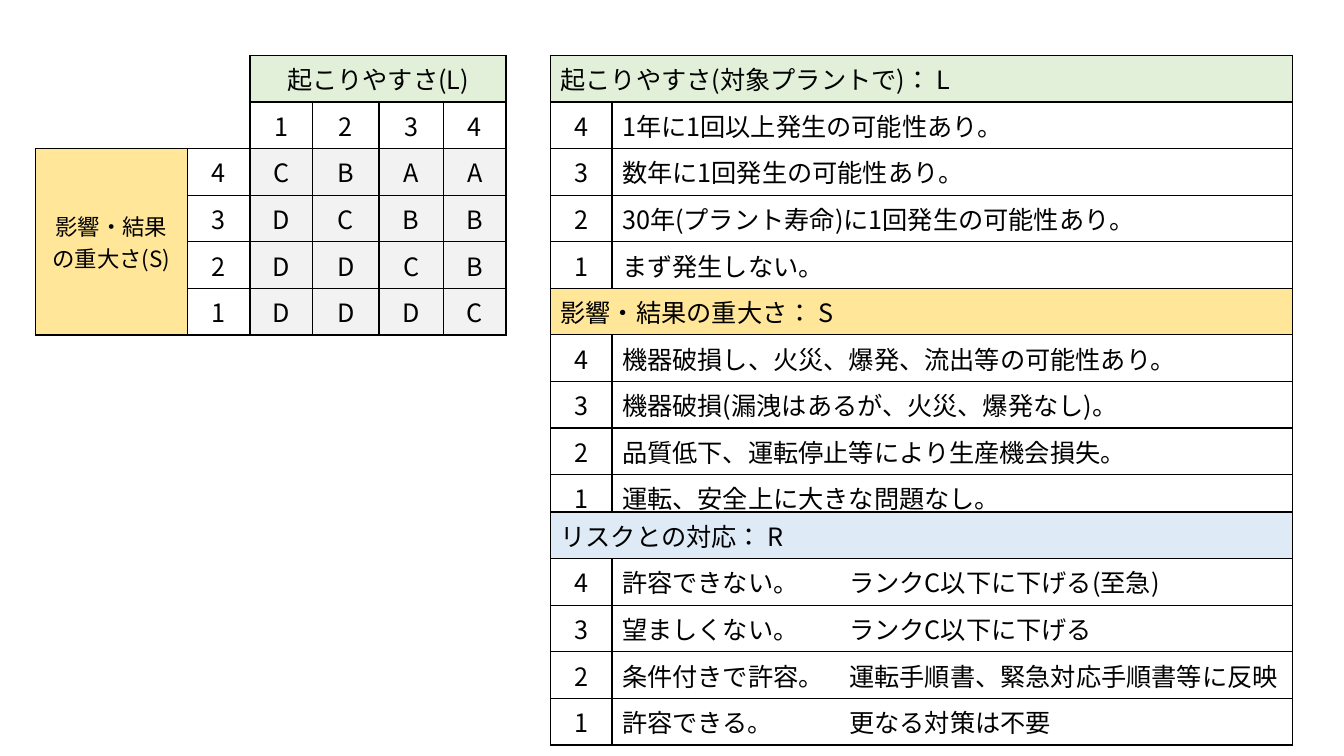
from itertools import product
from lxml.etree import SubElement
from pptx import Presentation
from pptx.dml.color import RGBColor
from pptx.enum.lang import MSO_LANGUAGE_ID
from pptx.enum.text import MSO_ANCHOR, PP_ALIGN
from pptx.oxml.ns import qn
from pptx.util import Inches, Pt

FACE = "Noto Sans CJK JP"
INK, GREEN, GOLD, BLUE, GREY = "000000", "E2F0D9", "FFE699", "DEEBF7", "F2F2F2"
PLAIN = "{2D5ABB26-0587-4C30-8999-92F81FD0307C}"
WIDE, HIGH = Inches(13.33), Inches(7.5)
ROW = 4.93

GRADES = [("4", "CBAA"), ("3", "DCBB"), ("2", "DDCB"), ("1", "DDDC")]
LISTS = [
    (7.33, GREEN, "起こりやすさ(対象プラントで)： L", [
        "1年に1回以上発生の可能性あり。",
        "数年に1回発生の可能性あり。",
        "30年(プラント寿命)に1回発生の可能性あり。",
        "まず発生しない。"]),
    (38.13, GOLD, "影響・結果の重大さ： S", [
        "機器破損し、火災、爆発、流出等の可能性あり。",
        "機器破損(漏洩はあるが、火災、爆発なし)。",
        "品質低下、運転停止等により生産機会損失。",
        "運転、安全上に大きな問題なし。"]),
    (67.73, BLUE, "リスクとの対応： R", [
        "許容できない。\tランクC以下に下げる(至急)",
        "望ましくない。\tランクC以下に下げる",
        "条件付きで許容。\t運転手順書、緊急対応手順書等に反映",
        "許容できる。\t更なる対策は不要"]),
]


def color(code):
    return RGBColor.from_string(code)


def across(part):
    return round(WIDE * part / 100)


def down(part):
    return round(HIGH * part / 100)


def border(cell, sides):
    props = cell._tc.get_or_add_tcPr()
    for side in sides:
        line = SubElement(props, qn("a:ln" + side), w=str(Pt(1)))
        fill = SubElement(line, qn("a:solidFill"))
        SubElement(fill, qn("a:srgbClr"), val=INK)


def paint(cell, code):
    cell.fill.solid()
    cell.fill.fore_color.rgb = color(code)


def write(cell, text, size=18, align=PP_ALIGN.CENTER):
    cell.vertical_anchor = MSO_ANCHOR.MIDDLE
    para = cell.text_frame.paragraphs[0]
    para.alignment = align
    if "\t" in text:
        tabs = SubElement(para._p.get_or_add_pPr(), qn("a:tabLst"))
        SubElement(tabs, qn("a:tab"), pos=str(across(16.9)), algn="l")
    run = para.add_run()
    run.text = text
    style = {"name": FACE, "size": Pt(size), "language_id": MSO_LANGUAGE_ID.JAPANESE}
    for key, value in style.items():
        setattr(run.font, key, value)
    run.font.color.rgb = color(INK)
    SubElement(run._r.get_or_add_rPr(), qn("a:ea"), typeface=FACE)


def grid(slide, box, rows, parts):
    left, top, width, row = box
    frame = slide.shapes.add_table(
        rows, len(parts), across(left), down(top), across(width), down(row * rows))
    table = frame.table
    table.first_row = table.horz_banding = False
    table._tbl.tblPr.find(qn("a:tableStyleId")).text = PLAIN
    for line in table.rows:
        line.height = down(row)
    for col, part in zip(table.columns, parts):
        col.width = round(across(width) * part / sum(parts))
    return table


def matrix(slide, box):
    table = grid(slide, box, 6, [0.89, 0.62, 0.62, 0.62, 0.66, 0.64, 0.62])
    for row, col in product(range(6), range(7)):
        sides = "LRTB"
        if row < 2 and col < 3:
            sides = "R" * (col == 2) + "B" * (row == 1)
        border(table.cell(row, col), sides)
    head, side = table.cell(0, 3), table.cell(2, 0)
    head.merge(table.cell(0, 6))
    side.merge(table.cell(5, 1))
    write(head, "起こりやすさ(L)")
    write(side, "影響・結果の重大さ(S)", 16)
    paint(head, GREEN)
    paint(side, GOLD)
    for col, label in enumerate("1234", 3):
        write(table.cell(1, col), label)
    for row, (label, marks) in enumerate(GRADES, 2):
        write(table.cell(row, 2), label)
        for col, mark in enumerate(marks, 3):
            write(table.cell(row, col), mark)
            paint(table.cell(row, col), GREY)


def levels(slide, box, code, title, lines):
    table = grid(slide, box, len(lines) + 1, [0.61, 6.75])
    for cell in table.iter_cells():
        border(cell, "LRTB")
    head = table.cell(0, 0)
    head.merge(table.cell(0, 1))
    write(head, title, align=PP_ALIGN.LEFT)
    paint(head, code)
    for row, line in enumerate(lines, 1):
        write(table.cell(row, 0), str(len(lines) + 1 - row))
        write(table.cell(row, 1), line, align=PP_ALIGN.LEFT)


def main():
    deck = Presentation()
    deck.slide_width, deck.slide_height = WIDE, HIGH
    slide = deck.slides.add_slide(deck.slide_layouts[6])
    matrix(slide, (2.63, 7.33, 35.03, 6.13))
    for top, code, title, lines in LISTS:
        levels(slide, (40.96, top, 55.21, ROW), code, title, lines)
    deck.save("out.pptx")


if __name__ == "__main__":
    main()
